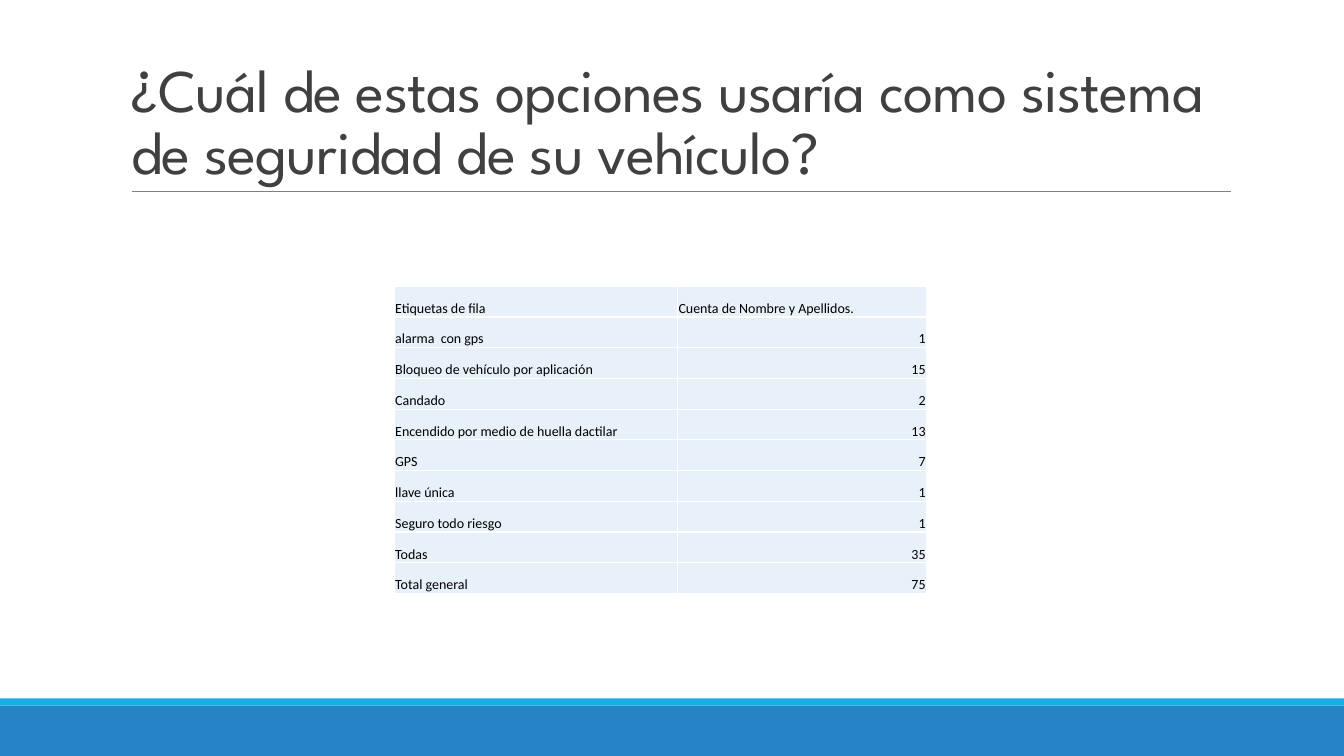
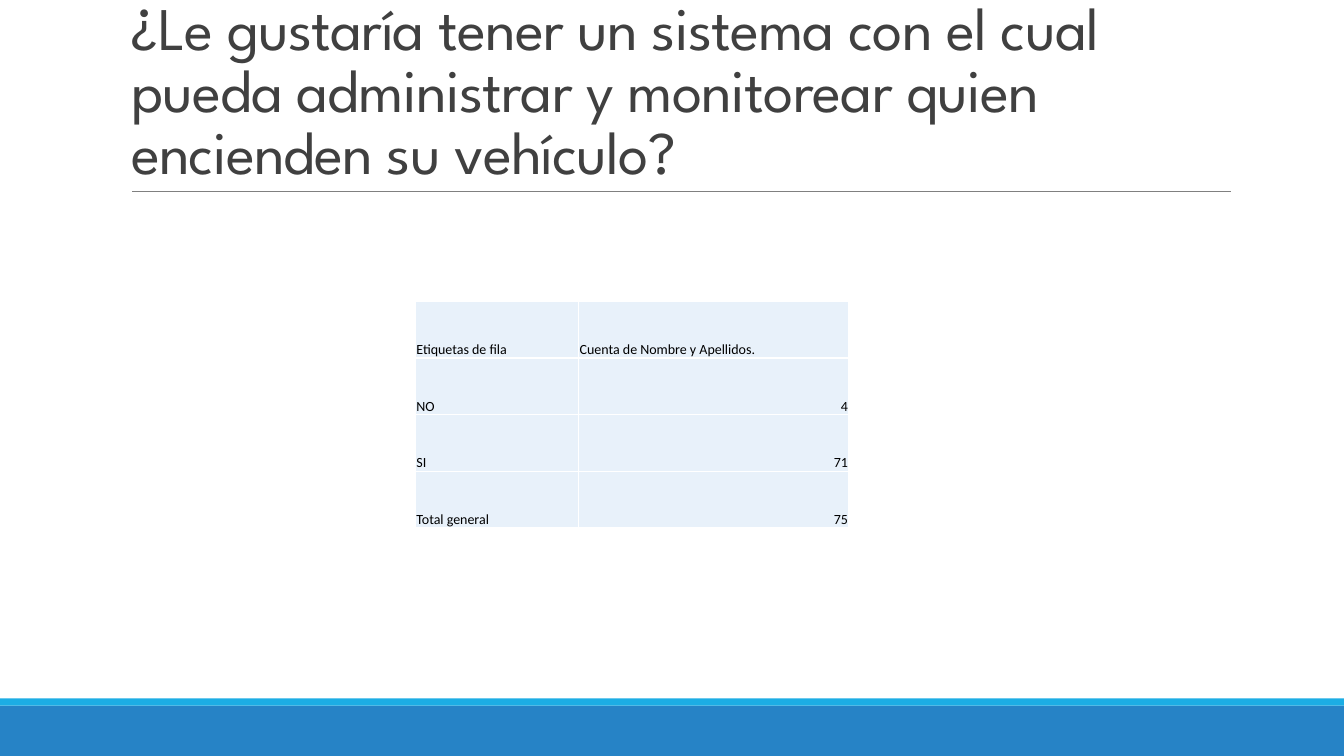
"""Build two survey result slides, each with a question and a table of answers."""
from lxml.etree import SubElement
from pptx import Presentation
from pptx.dml.color import RGBColor
from pptx.enum.shapes import MSO_CONNECTOR, MSO_SHAPE
from pptx.enum.text import MSO_ANCHOR, MSO_AUTO_SIZE, PP_ALIGN
from pptx.oxml import parse_xml
from pptx.oxml.ns import nsdecls, qn
from pptx.util import Inches, Pt

BLUE = RGBColor(0x26, 0x83, 0xC6)
CYAN = RGBColor(0x1C, 0xAD, 0xE4)
GREY = RGBColor(0x80, 0x80, 0x80)
DARK = RGBColor(0x40, 0x40, 0x40)
BLACK = RGBColor(0, 0, 0)
PALE = RGBColor(0xE8, 0xF1, 0xFA)
WHITE = RGBColor(0xFF, 0xFF, 0xFF)

TITLE_FONT = "League Spartan"
TABLE_FONT = "Calibri"
BANDS = [(7, 0.5, BLUE), (6.93, 0.07, CYAN)]
HEADER = ("Etiquetas de fila", "Cuenta de Nombre y Apellidos.")

QUESTIONS = [
    {
        "question": "¿Cuál de estas opciones usaría como sistema de seguridad de su vehículo?",
        "corner": (3.91, 2.84),
        "widths": (2.81, 2.47),
        "height": 3.05,
        "answers": [
            ("alarma  con gps", 1),
            ("Bloqueo de vehículo por aplicación", 15),
            ("Candado", 2),
            ("Encendido por medio de huella dactilar", 13),
            ("GPS", 7),
            ("llave única", 1),
            ("Seguro todo riesgo", 1),
            ("Todas", 35),
        ],
    },
    {
        "question": "¿Le gustaría tener un sistema con el cual pueda administrar y "
                    "monitorear quien encienden su vehículo?",
        "corner": (4.12, 2.99),
        "widths": (1.62, 2.68),
        "height": 2.25,
        "answers": [("NO", 4), ("SI", 71)],
    },
]


def add_frame(slide, question):
    """Add the bottom bands, the rule and the title."""
    for top, height, color in BANDS:
        band = slide.shapes.add_shape(
            MSO_SHAPE.RECTANGLE, 0, Inches(top), Inches(13.33), Inches(height))
        band.shadow.inherit = False
        band.fill.solid()
        band.fill.fore_color.rgb = color
        band.line.fill.background()

    rule = slide.shapes.add_connector(
        MSO_CONNECTOR.STRAIGHT, Inches(1.31), Inches(1.9), Inches(12.21), Inches(1.9))
    rule.line.color.rgb = GREY
    rule.line.width = Pt(0.5)
    SubElement(rule.element.spPr, qn("a:effectLst"))

    title = slide.shapes.title
    title.left, title.top = Inches(1.2), Inches(0.31)
    title.width, title.height = Inches(11), Inches(1.59)
    frame = title.text_frame
    frame.text = question
    frame.word_wrap = True
    frame.auto_size = MSO_AUTO_SIZE.NONE
    frame.vertical_anchor = MSO_ANCHOR.BOTTOM
    paragraph = frame.paragraphs[0]
    paragraph.alignment = PP_ALIGN.LEFT
    paragraph.line_spacing = 0.85
    run = paragraph.runs[0]
    run.font.name = TITLE_FONT
    run.font.size = Pt(43.2)
    run.font.color.rgb = DARK
    run.font._element.set("spc", "-50")


def style_cell(cell, text, alignment):
    """Fill one table cell with text, colour and white borders."""
    cell.text_frame.text = text
    cell.vertical_anchor = MSO_ANCHOR.BOTTOM
    cell.margin_left = cell.margin_right = cell.margin_top = Inches(0.01)
    cell.margin_bottom = 0
    cell.fill.solid()
    cell.fill.fore_color.rgb = PALE
    paragraph = cell.text_frame.paragraphs[0]
    paragraph.alignment = alignment
    font = paragraph.runs[0].font
    font.name = TABLE_FONT
    font.size = Pt(10)
    font.color.rgb = BLACK
    properties = cell._tc.get_or_add_tcPr()
    for position, side in enumerate(("lnL", "lnR", "lnT", "lnB")):
        properties.insert(position, parse_xml(
            f'<a:{side} {nsdecls("a")} w="{Pt(1)}"><a:solidFill>'
            f'<a:srgbClr val="{WHITE}"/></a:solidFill></a:{side}>'))


deck = Presentation()
deck.slide_width, deck.slide_height = Inches(13.33), Inches(7.5)

for survey in QUESTIONS:
    slide = deck.slides.add_slide(deck.slide_layouts[5])
    add_frame(slide, survey["question"])

    total = sum(count for _, count in survey["answers"])
    rows = [HEADER, *survey["answers"], ("Total general", total)]
    left, top = survey["corner"]
    answers = slide.shapes.add_table(
        len(rows), len(HEADER), Inches(left), Inches(top),
        Inches(sum(survey["widths"])), Inches(survey["height"])).table
    for column, width in zip(answers.columns, survey["widths"]):
        column.width = Inches(width)
    for row_index, row in enumerate(rows):
        for column_index, value in enumerate(row):
            alignment = PP_ALIGN.RIGHT if isinstance(value, int) else PP_ALIGN.LEFT
            style_cell(answers.cell(row_index, column_index), str(value), alignment)

deck.save("out.pptx")
